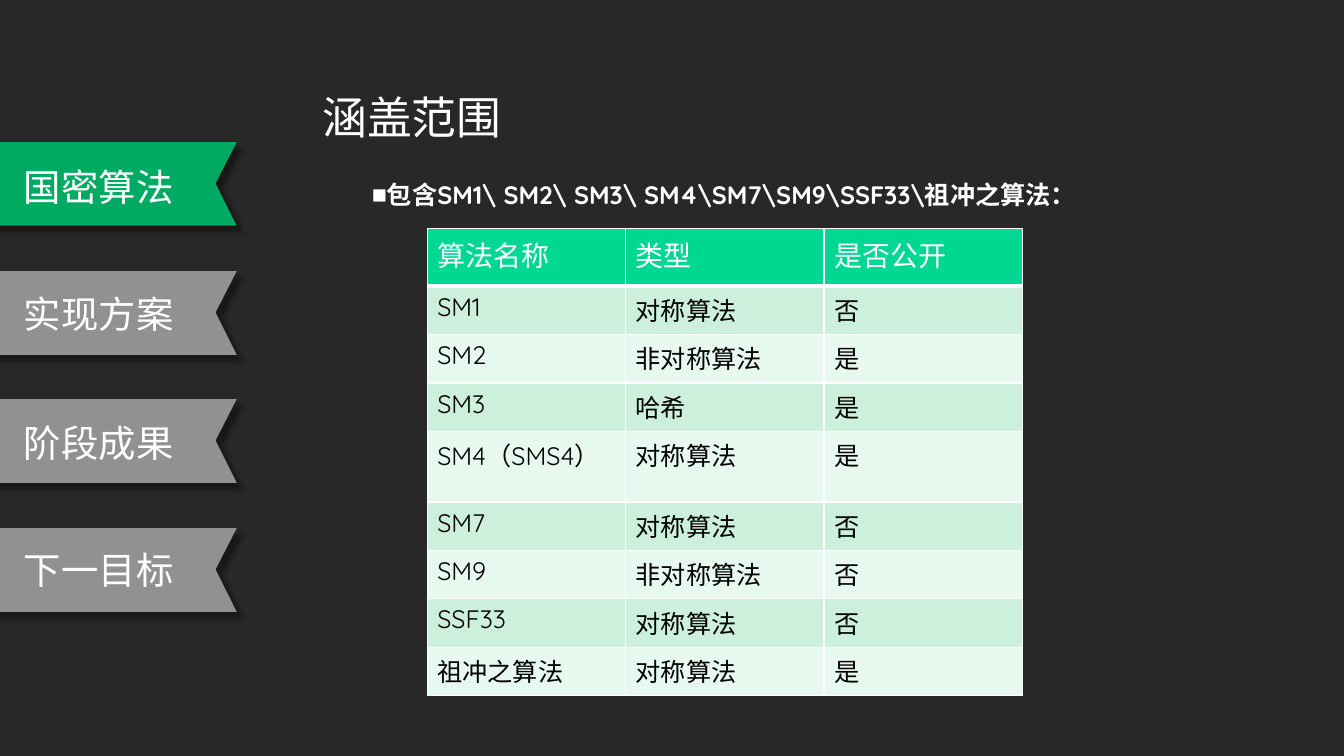
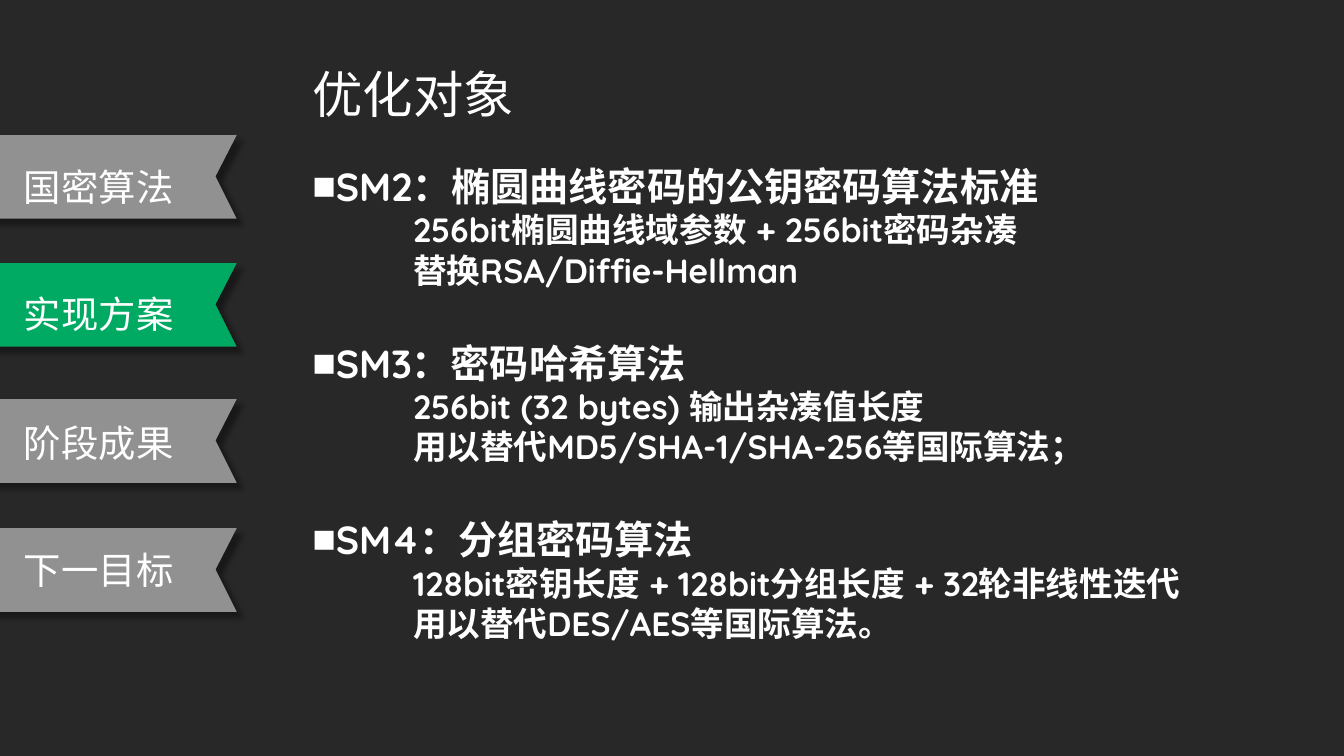
"""Build two slides on national cipher algorithms with a shared ribbon menu."""
from lxml import etree
from pptx import Presentation
from pptx import util as u
from pptx.dml.color import RGBColor
from pptx.enum import text
from pptx.oxml import parse_xml
from pptx.oxml.ns import nsdecls, qn

PX = 9144
DARK = RGBColor(0x28, 0x28, 0x28)
WHITE = RGBColor(0xFF, 0xFF, 0xFF)
BLACK = RGBColor(0, 0, 0)
GREEN = RGBColor(0x00, 0xAA, 0x63)
GREY = RGBColor(0x91, 0x91, 0x91)
HEADER = RGBColor(0x00, 0xD8, 0x91)
BANDS = [RGBColor(0xE7, 0xF8, 0xEE), RGBColor(0xCC, 0xF0, 0xDC)]
LATIN = "Quicksand"
HAN = "Noto Sans CJK SC"

MENU = [("国密算法", 153), ("实现方案", 279), ("阶段成果", 407), ("下一目标", 533)]
RIBBON = [(-78, 0), (235, 0), (214, 41), (235, 83), (-78, 83)]
SHADOW = (
    f'<a:outerShdw {nsdecls("a")} blurRad="50800" dist="76200" dir="2700000" '
    'algn="tl" rotWithShape="0"><a:srgbClr val="000000">'
    '<a:alpha val="40000"/></a:srgbClr></a:outerShdw>'
)
PAGES = [
    {
        "title": "涵盖范围", "title_at": (310, 84, 200, 64), "title_size": 32, "spacing": 1.0,
        "ribbon_tops": [141, 269, 396, 524], "active": 0,
        "body_at": (359, 173, 799, 71), "sizes": (18, 18),
        "items": [("包含SM1\\ SM2\\ SM3\\ SM4\\SM7\\SM9\\SSF33\\祖冲之算法：", [])],
    },
    {
        "title": "优化对象", "title_at": (300, 64, 1150, 145), "title_size": 36, "spacing": 0.9,
        "ribbon_tops": [134, 261, 396, 524], "active": 1,
        "body_at": (300, 156, 960, 522), "sizes": (28, 24),
        "items": [
            ("SM2：椭圆曲线密码的公钥密码算法标准",
             ["256bit椭圆曲线域参数 + 256bit密码杂凑", "替换RSA/Diffie-Hellman"]),
            ("SM3：密码哈希算法",
             ["256bit (32 bytes) 输出杂凑值长度", "用以替代MD5/SHA-1/SHA-256等国际算法；"]),
            ("SM4：分组密码算法",
             ["128bit密钥长度 + 128bit分组长度 + 32轮非线性迭代", "用以替代DES/AES等国际算法。"]),
        ],
    },
]
ALGORITHMS = [
    ("算法名称", "类型", "是否公开"),
    ("SM1", "对称算法", "否"),
    ("SM2", "非对称算法", "是"),
    ("SM3", "哈希", "是"),
    ("SM4（SMS4）", "对称算法", "是"),
    ("SM7", "对称算法", "否"),
    ("SM9", "非对称算法", "否"),
    ("SSF33", "对称算法", "否"),
    ("祖冲之算法", "对称算法", "是"),
]


def add_span(para, words, size, latin=LATIN, han=LATIN, colour=WHITE, bold=False):
    span = para.add_run()
    span.text = words
    span.font.size = u.Pt(size)
    span.font.bold = bold
    span.font.color.rgb = colour
    span.font.name = latin
    etree.SubElement(span.font._element, qn("a:ea"), typeface=han)


def place(box, at):
    box.left, box.top, box.width, box.height = [PX * value for value in at]
    frame = box.text_frame
    frame.word_wrap = True
    frame.vertical_anchor = text.MSO_ANCHOR.TOP
    return frame


deck = Presentation()
deck.slide_width, deck.slide_height = 1334 * PX, 750 * PX
backdrop = deck.slide_master.background.fill
backdrop.solid()
backdrop.fore_color.rgb = DARK

for content in PAGES:
    page = deck.slides.add_slide(deck.slide_layouts[1])

    frame = place(page.shapes.title, content["title_at"])
    frame.auto_size = text.MSO_AUTO_SIZE.NONE
    para = frame.paragraphs[0]
    para.alignment = text.PP_ALIGN.LEFT
    para.line_spacing = content["spacing"]
    add_span(para, content["title"], content["title_size"])

    frame = place(page.placeholders[1], content["body_at"])
    frame.auto_size = text.MSO_AUTO_SIZE.SHAPE_TO_FIT_TEXT
    head_size, detail_size = content["sizes"]
    for number, (heading, details) in enumerate(content["items"]):
        for row, words in enumerate([heading, *details]):
            first = number == 0 and row == 0
            para = frame.paragraphs[0] if first else frame.add_paragraph()
            para.space_before = u.Pt(35 if number and row == 0 else 0)
            layout = para._p.get_or_add_pPr()
            layout.set("marL", str(100 * PX if row else 0))
            layout.set("indent", "0")
            if row:
                etree.SubElement(layout, qn("a:buNone"))
            else:
                etree.SubElement(layout, qn("a:buChar"), char="■")
            add_span(para, words, detail_size if row else head_size, bold=True)

    for index, top in enumerate(content["ribbon_tops"]):
        points = [(x, top + y) for x, y in RIBBON]
        builder = page.shapes.build_freeform(*points[0], scale=PX)
        builder.add_line_segments(points[1:], close=True)
        ribbon = builder.convert_to_shape()
        ribbon.fill.solid()
        ribbon.fill.fore_color.rgb = GREEN if index == content["active"] else GREY
        ribbon.line.fill.background()
        ribbon.shadow.inherit = False
        ribbon._element.spPr.find(qn("a:effectLst")).append(parse_xml(SHADOW))

    for label, top in MENU:
        box = page.shapes.add_textbox(14 * PX, top * PX, 170 * PX, 56 * PX)
        box.text_frame.word_wrap = False
        box.text_frame.auto_size = text.MSO_AUTO_SIZE.SHAPE_TO_FIT_TEXT
        para = box.text_frame.paragraphs[0]
        para.line_spacing = 1.1
        add_span(para, label, 26.7, HAN, HAN)

grid = deck.slides[0].shapes.add_table(
    len(ALGORITHMS), 3, 424 * PX, 227 * PX, 591 * PX, 441 * PX).table
for column in grid.columns:
    column.width = 197 * PX
for row, values in enumerate(ALGORITHMS):
    grid.rows[row].height = (48 if row else 57) * PX
    for column, words in enumerate(values):
        cell = grid.cell(row, column)
        cell.fill.solid()
        cell.fill.fore_color.rgb = BANDS[row % 2] if row else HEADER
        add_span(cell.text_frame.paragraphs[0], words, 18 if row else 20,
                 han=HAN, colour=BLACK if row else WHITE)
        for order, side in enumerate("LRTB"):
            thick = (row, side) in [(0, "B"), (1, "T")]
            border = parse_xml(
                f'<a:ln{side} {nsdecls("a")} w="{u.Pt(3 if thick else 1)}"><a:solidFill>'
                f'<a:srgbClr val="{WHITE}"/></a:solidFill></a:ln{side}>')
            cell._tc.get_or_add_tcPr().insert(order, border)

deck.save("out.pptx")
